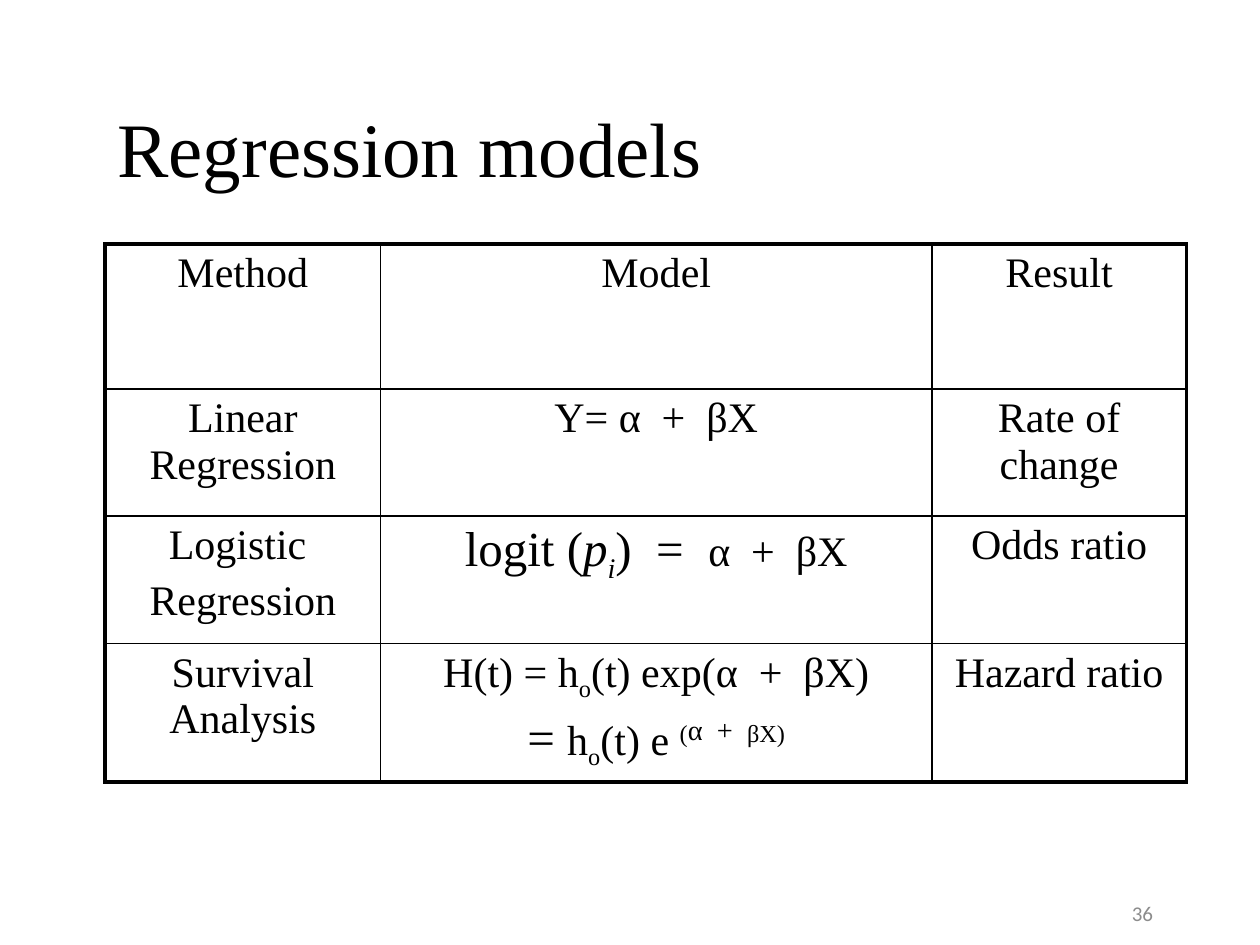
from lxml.etree import SubElement
from pptx import Presentation
from pptx.dml.color import RGBColor
from pptx.enum.text import MSO_ANCHOR, PP_ALIGN
from pptx.oxml.ns import qn
from pptx.util import Pt

SERIF = "Times New Roman"
BLACK = "000000"
THIN, THICK = 1, 2.25
COLUMN_WIDTHS = [157.5, 315, 145.5]
ROW_HEIGHTS = [82.8, 72.7, 72.7, 79.2]

# Each cell is a list of paragraphs; each paragraph is a list of
# (text, size, italic, baseline shift in percent), where only text is required.
MODELS = [
    [[[("Method",)]], [[("Model",)]], [[("Result",)]]],
    [[[("Linear Regression",)]], [[("Y= α  +  βX",)]], [[("Rate of change",)]]],
    [
        [[("Logistic ",)], [("Regression",)]],
        [[("logit (", 28), ("p", 28, True), ("i", 28, True, -25),
          (")  =  ", 28), ("α  +  βX",)]],
        [[("Odds ratio",)]],
    ],
    [
        [[("Survival Analysis",)]],
        [
            [("H(t) = h",), ("o", 24, False, -25), ("(t) exp(α  +  βX)",)],
            [("= ", 28), ("h",), ("o", 24, False, -25), ("(t) e ",),
             ("(", 24, False, 30), ("α  +  ", 28, False, 30),
             ("βX)", 24, False, 30)],
        ],
        [[("Hazard ratio",)]],
    ],
]


def color(hex_code):
    return RGBColor.from_string(hex_code)


def place(shape, box):
    shape.left, shape.top, shape.width, shape.height = map(Pt, box)


def add_run(paragraph, text, size=24, italic=False, shift=0,
            font=SERIF, hex_code=BLACK):
    run = paragraph.add_run()
    run.text = text
    run.font.name = font
    run.font.size = Pt(size)
    run.font.italic = italic
    run.font.color.rgb = color(hex_code)
    if shift:
        run.font._element.set("baseline", str(shift * 1000))


def set_borders(cell, widths):
    """Draw the left, right, top and bottom borders, which precede the fill."""
    properties = cell._tc.get_or_add_tcPr()
    for position, (side, width) in enumerate(zip("LRTB", widths)):
        line = SubElement(properties, qn(f"a:ln{side}"), w=str(Pt(width)))
        fill = SubElement(line, qn("a:solidFill"))
        SubElement(fill, qn("a:srgbClr"), val=BLACK)
        properties.insert(position, line)


def fill_cell(cell, paragraphs):
    cell.fill.background()
    frame = cell.text_frame
    for index, runs in enumerate(paragraphs):
        paragraph = frame.add_paragraph() if index else frame.paragraphs[0]
        paragraph.alignment = PP_ALIGN.CENTER
        if index:
            paragraph.space_before = Pt(5)
        for run in runs:
            add_run(paragraph, *run)


def add_title(slide, box):
    title = slide.shapes.title
    place(title, box)
    frame = title.text_frame
    frame.word_wrap = True
    frame.vertical_anchor = MSO_ANCHOR.MIDDLE
    heading = frame.paragraphs[0]
    heading.alignment = PP_ALIGN.LEFT
    heading.line_spacing = 0.9
    add_run(heading, "Regression models", 44)


def add_models_table(slide, box):
    last_row, last_column = len(ROW_HEIGHTS) - 1, len(COLUMN_WIDTHS) - 1
    table = slide.shapes.add_table(
        last_row + 1, last_column + 1, *map(Pt, box)).table
    table.first_row = table.horz_banding = False
    for column, width in zip(table.columns, COLUMN_WIDTHS):
        column.width = Pt(width)
    for row, height in zip(table.rows, ROW_HEIGHTS):
        row.height = Pt(height)
    for r, row in enumerate(MODELS):
        for c, paragraphs in enumerate(row):
            cell = table.cell(r, c)
            fill_cell(cell, paragraphs)
            # Thick lines only around the outside
            outer = (c == 0, c == last_column, r == 0, r == last_row)
            set_borders(cell, [THICK if edge else THIN for edge in outer])


def add_slide_number(slide, box):
    frame = slide.shapes.add_textbox(*map(Pt, box)).text_frame
    frame.word_wrap = True
    frame.vertical_anchor = MSO_ANCHOR.MIDDLE
    number = frame.paragraphs[0]
    number.alignment = PP_ALIGN.RIGHT
    add_run(number, "36", 12, font="Calibri", hex_code="8C8C8C")


def main():
    deck = Presentation()
    deck.slide_width, deck.slide_height = Pt(720), Pt(540)
    slide = deck.slides.add_slide(deck.slide_layouts[5])
    add_title(slide, (60, 42, 606, 90))
    add_models_table(slide, (60, 139.5, sum(COLUMN_WIDTHS), sum(ROW_HEIGHTS)))
    add_slide_number(slide, (540, 504, 126, 36))
    deck.save("out.pptx")


if __name__ == "__main__":
    main()
